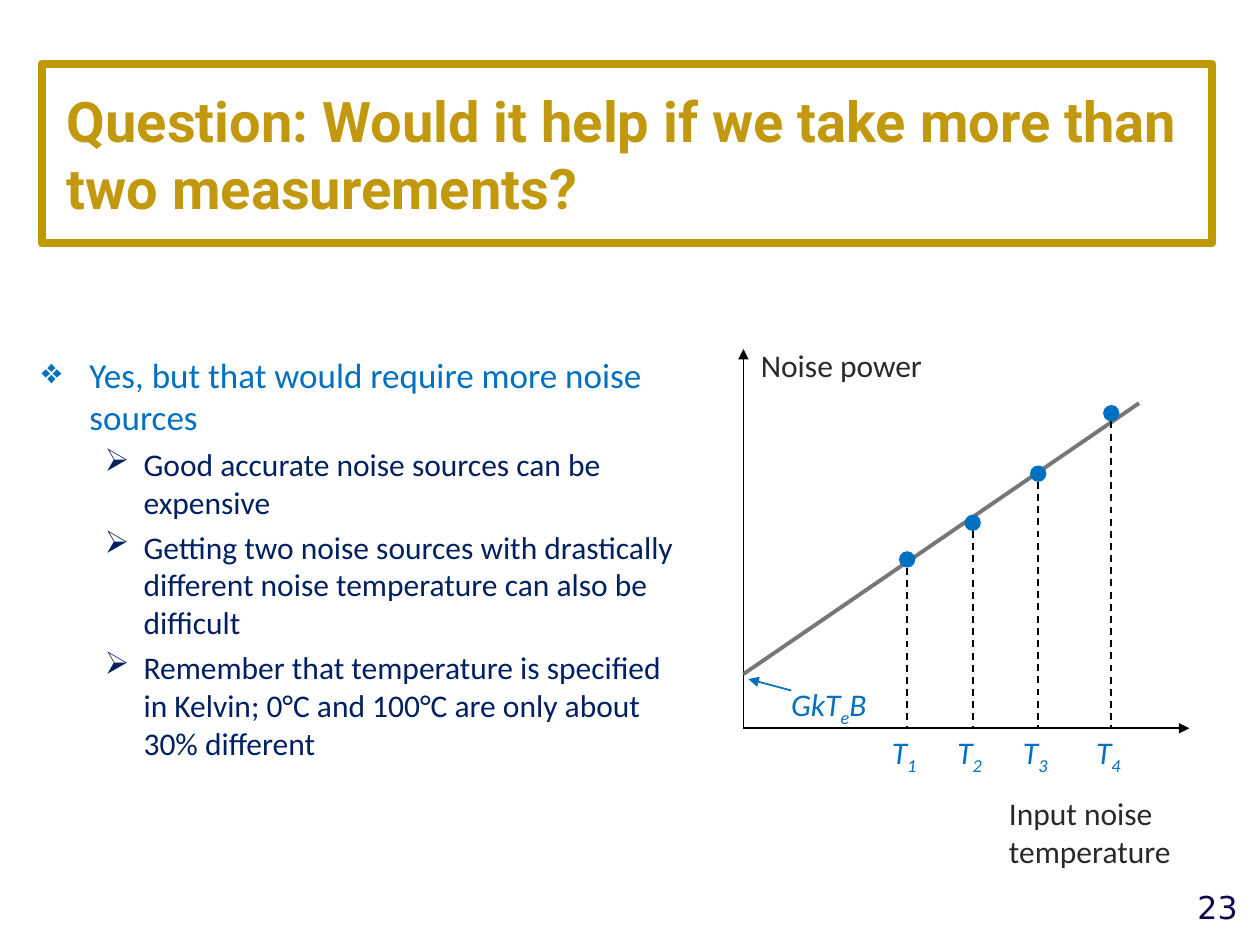
from dataclasses import dataclass

from lxml import etree
from pptx import Presentation
from pptx import util as u
from pptx.dml import color
from pptx.enum import dml, shapes, text
from pptx.oxml import ns


@dataclass(frozen=True)
class Theme:
    gold: str = "C2990E"
    frame: str = "BF9900"
    blue: str = "0070C0"
    navy: str = "002062"
    number: str = "10034C"
    label: str = "292929"
    trend: str = "777777"
    axis: str = "000000"
    heading_font: str = "Roboto"
    body_font: str = "Calibri"
    number_font: str = "DejaVu Sans"
    heading_size: int = 32
    lead_size: int = 20
    text_size: int = 18
    thin: float = 1
    medium: float = 2.25
    thick: float = 4.5


@dataclass(frozen=True)
class Box:
    left: float
    top: float
    width: float
    height: float

    def inside(self, left, top, width, height):
        return Box(self.left + left, self.top + top, width, height)

    def lengths(self):
        return [u.Inches(v) for v in (self.left, self.top, self.width, self.height)]


THEME = Theme()


def rgb(value):
    return color.RGBColor.from_string(value)


def style(font, size, ink, name=THEME.body_font, bold=False, italic=False):
    font.size, font.name = u.Pt(size), name
    font.bold, font.italic = bold, italic
    font.color.rgb = rgb(ink)


def add_text(page, box, words, ink=THEME.label, name=THEME.body_font):
    label = page.shapes.add_textbox(*box.lengths())
    frame = label.text_frame
    frame.word_wrap = True
    frame.text = words
    para = frame.paragraphs[0]
    for span in para.runs:
        style(span.font, THEME.text_size, ink, name)
    return para


def add_symbol(page, box, *parts):
    para = add_text(page, box, "")
    for index, part in enumerate(parts):
        span = para.add_run()
        span.text = part
        style(span.font, THEME.text_size, THEME.blue, italic=True)
        if index == 1:
            span.font._element.set("baseline", "-25000")


def add_line(page, box, start, end, ink=THEME.axis, width=THEME.thin, dashed=False, arrow=False):
    points = [u.Inches(v) for x, y in (start, end) for v in (box.left + x, box.top + y)]
    line = page.shapes.add_connector(shapes.MSO_CONNECTOR.STRAIGHT, *points)
    line.line.color.rgb = rgb(ink)
    line.line.width = u.Pt(width)
    if dashed:
        line.line.dash_style = dml.MSO_LINE.DASH
    if arrow:
        etree.SubElement(line.line._get_or_add_ln(), ns.qn("a:tailEnd"), type="triangle")
    etree.SubElement(line._element.spPr, ns.qn("a:effectLst"))


def add_heading(page, box, words):
    title = page.shapes.title
    title.left, title.top, title.width, title.height = box.lengths()
    title.line.color.rgb = rgb(THEME.frame)
    title.line.width = u.Pt(THEME.thick)
    frame = title.text_frame
    frame.text = words
    frame.word_wrap = True
    frame.auto_size = text.MSO_AUTO_SIZE.NONE
    frame.vertical_anchor = text.MSO_ANCHOR.MIDDLE
    frame.margin_left = frame.margin_right = u.Inches(0.2)
    frame.margin_top = frame.margin_bottom = u.Inches(0.1)
    para = frame.paragraphs[0]
    para.alignment = text.PP_ALIGN.LEFT
    style(para.runs[0].font, THEME.heading_size, THEME.gold, THEME.heading_font, bold=True)


def add_bullets(page, box, lead, points):
    frame = page.shapes.add_textbox(*box.lengths()).text_frame
    frame.word_wrap = True
    frame.margin_left = 0
    for index, words in enumerate([lead, *points]):
        if index == 0:
            para = frame.paragraphs[0]
            mark, indent, hang, size, ink = "❖", 0.38, 0.38, THEME.lead_size, THEME.blue
        else:
            para = frame.add_paragraph()
            para.level = 1
            para.space_before = u.Pt(4)
            mark, indent, hang, size, ink = "➢", 0.81, 0.31, THEME.text_size, THEME.navy
        para.text = words
        settings = para._p.get_or_add_pPr()
        settings.set("marL", str(u.Inches(indent)))
        settings.set("indent", str(-u.Inches(hang)))
        etree.SubElement(settings, ns.qn("a:buChar"), char=mark)
        style(para.runs[0].font, size, ink)


def add_graph(page, box):
    base, dot = box.height, 0.13
    add_line(page, box, (0, base), (box.width, base), arrow=True)
    add_line(page, box, (0, base), (0, 0), arrow=True)
    add_line(page, box, (0, 2.58), (3.14, 0.43), THEME.trend, THEME.medium)
    add_text(page, box.inside(0.04, -0.07, 1.71, 0.4), "Noise power")
    add_text(page, box.inside(2.01, 3.48, 1.67, 0.71), "Input noise temperature")

    measurements = [(1.3, 1.67), (1.82, 1.38), (2.34, 0.99), (2.92, 0.51)]
    for number, (x, y) in enumerate(measurements, 1):
        add_line(page, box, (x, y + dot / 2), (x, base), dashed=True)
        place = box.inside(x - dot / 2, y - dot / 2, dot, dot)
        point = page.shapes.add_shape(shapes.MSO_SHAPE.OVAL, *place.lengths())
        point.shadow.inherit = False
        point.fill.solid()
        point.fill.fore_color.rgb = rgb(THEME.blue)
        point.line.fill.background()
        add_symbol(page, box.inside(x - 0.22, base - 0.01, 0.52, 0.4), "T", str(number))

    add_symbol(page, box.inside(0.28, 2.62, 1.04, 0.4), "GkT", "e", "B")
    add_line(page, box, (0.38, 2.71), (0.04, 2.62), THEME.blue, arrow=True)


def add_page_number(page, box, number):
    para = add_text(page, box, str(number), THEME.number, THEME.number_font)
    para.alignment = text.PP_ALIGN.RIGHT


def main():
    deck = Presentation()
    deck.slide_width, deck.slide_height = u.Inches(10), u.Inches(7.5)
    page = deck.slides.add_slide(deck.slide_layouts.get_by_name("Title Only"))
    add_heading(
        page,
        Box(0.33, 0.51, 9.29, 1.42),
        "Question: Would it help if we take more than two measurements?",
    )
    add_bullets(
        page,
        Box(0.33, 2.76, 5.25, 3.92),
        "Yes, but that would require more noise sources",
        [
            "Good accurate noise sources can be expensive",
            "Getting two noise sources with drastically different noise temperature can also be difficult",
            "Remember that temperature is specified in Kelvin; 0°C and 100°C are only about 30% different",
        ],
    )
    add_graph(page, Box(5.9, 2.77, 3.54, 3.01))
    add_page_number(page, Box(8.5, 7, 1.42, 0.4), 23)
    deck.save("out.pptx")


if __name__ == "__main__":
    main()
